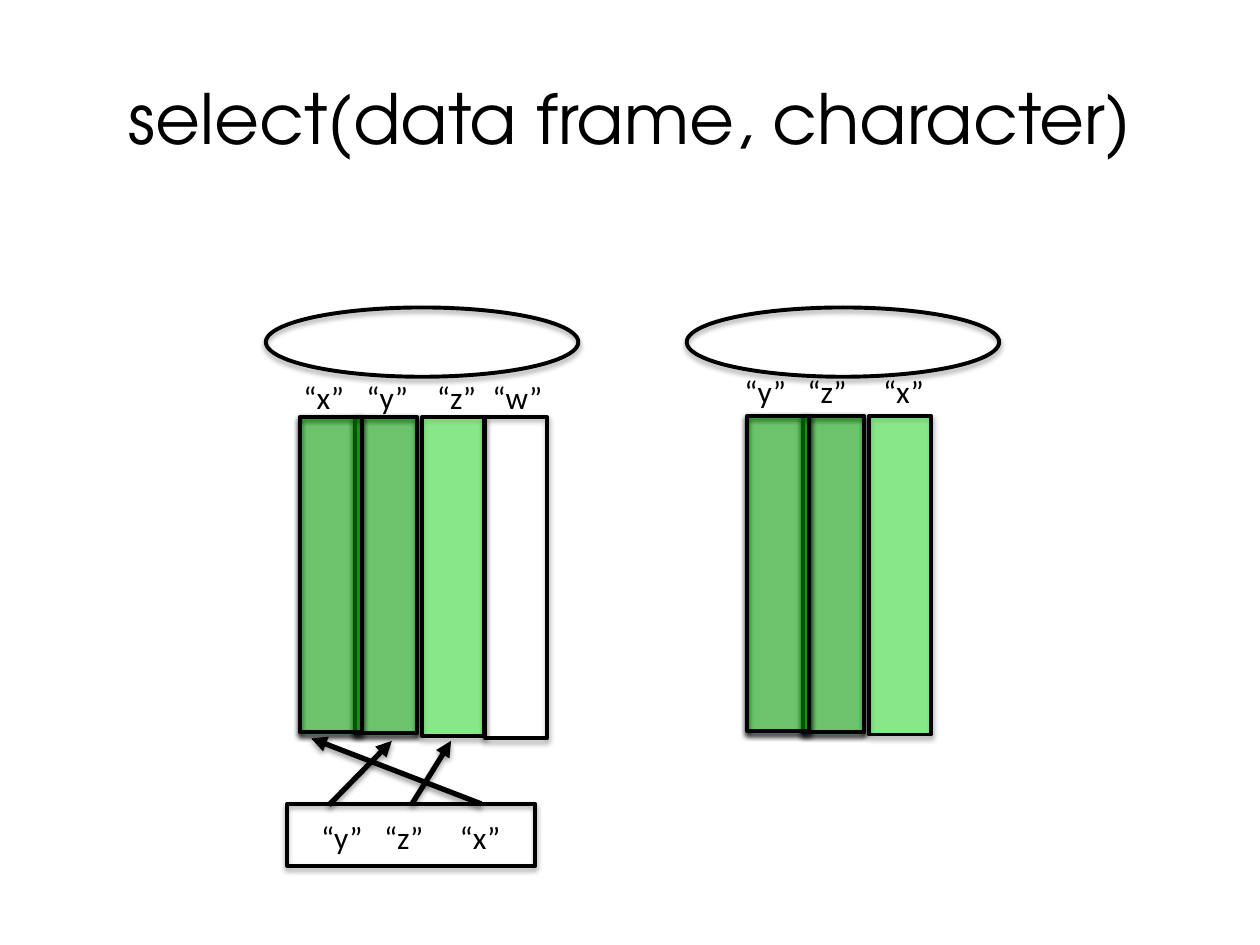
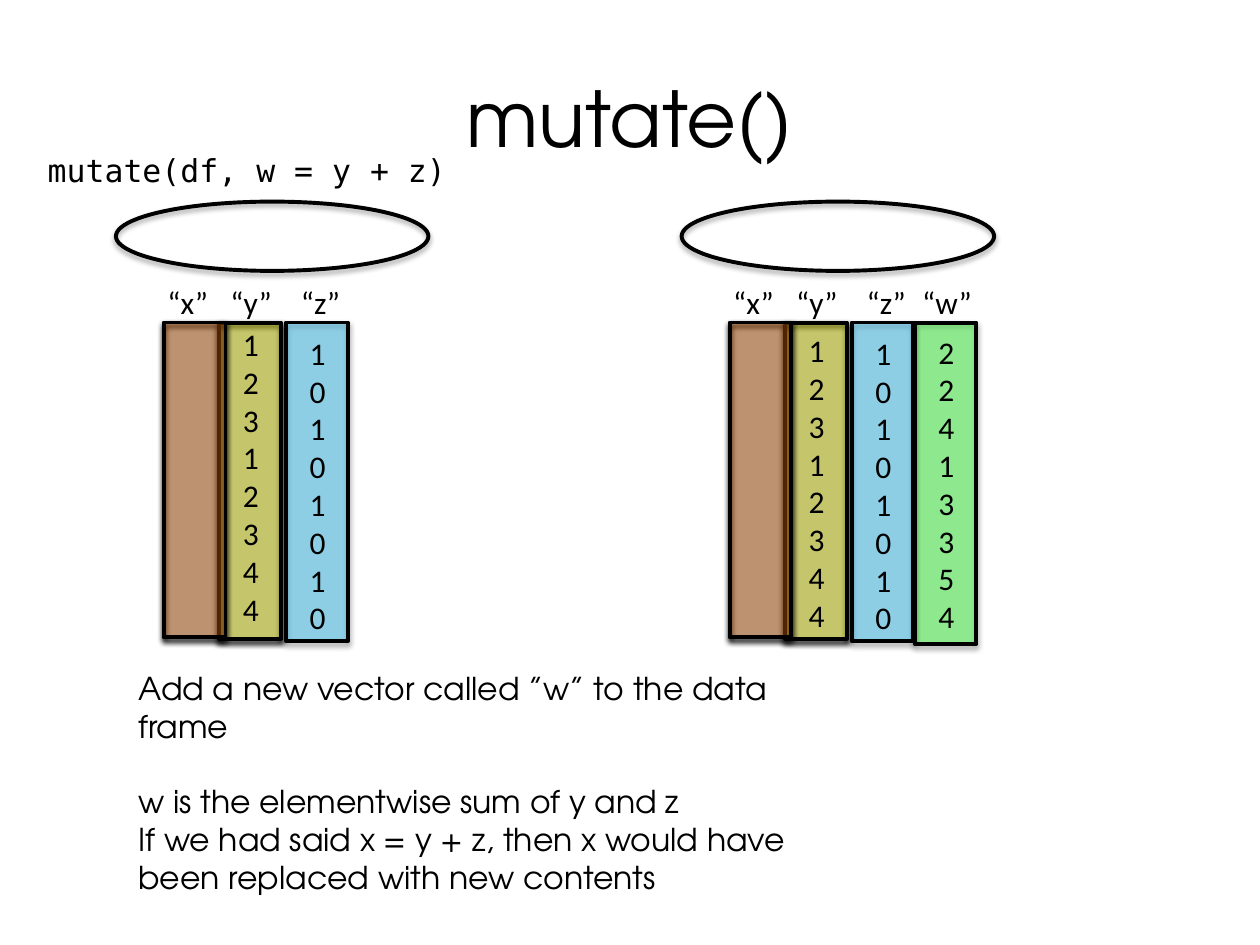
from pptx import Presentation
from pptx.dml.color import RGBColor
from pptx.enum.shapes import MSO_CONNECTOR, MSO_SHAPE
from pptx.enum.text import MSO_ANCHOR, PP_ALIGN
from pptx.oxml import parse_xml
from pptx.oxml.ns import nsdecls, qn
from pptx.util import Inches, Pt

HUES = {"ink": "000000", "green": "00FA00", "blue": "00B0F0",
        "gold": "FFFF00", "rust": "E46C0A"}
HEAD, BODY, CODE = "TeX Gyre Adventor", "Calibri", "DejaVu Sans Mono"
COLS, ROWS = 100, 75              # square grid cells over the slide
STEPS = (0, 4.4, 9.7, 14.7)       # left edges of the vectors in a frame
TALL = (25, 25.1, 25.3, 25.5)     # heights of the vectors
WIDE = 4.9
TABS = (5, 10.6, 15)              # tab stops under the vector names


def node(tag, inner="", **attrs):
    pairs = " ".join(f'{key}="{val}"' for key, val in attrs.items())
    return parse_xml(f'<a:{tag} {nsdecls("a")} {pairs}>{inner}</a:{tag}>')


def write(frame, text, size=18, font=BODY, align=PP_ALIGN.LEFT,
          anchor=MSO_ANCHOR.TOP, wrap=True, tabs=(), gaps=None):
    """Fill a text frame, one paragraph for each line of text."""
    frame.word_wrap, frame.vertical_anchor = wrap, anchor
    for num, line in enumerate(text.split("\n")):
        para = frame.paragraphs[0] if num == 0 else frame.add_paragraph()
        para.alignment = align
        para.space_before = Pt((gaps or {}).get(num, 0))
        run = para.add_run()
        run.text = line
        run.font.size, run.font.name = Pt(size), font
        run.font.color.rgb = RGBColor.from_string(HUES["ink"])
        if tabs:
            stops = "".join(f'<a:tab pos="{pos}" algn="l"/>' for pos in tabs)
            para._p.get_or_add_pPr().append(node("tabLst", stops))


class Deck:
    def __init__(self):
        self.prs = Presentation()
        self.prs.slide_width, self.prs.slide_height = Inches(10), Inches(7.5)
        self.slide = None

    def x(self, cols):
        return round(self.prs.slide_width * cols / COLS)

    def y(self, rows):
        return round(self.prs.slide_height * rows / ROWS)

    def box(self, left, top, wide, high):
        return self.x(left), self.y(top), self.x(wide), self.y(high)

    def page(self, title, size):
        self.slide = self.prs.slides.add_slide(self.prs.slide_layouts[6])
        self.text(title, 5, 3, 90, 12.5, size=size, font=HEAD,
                  align=PP_ALIGN.CENTER, anchor=MSO_ANCHOR.MIDDLE)

    def text(self, words, left, top, wide, high, **style):
        area = self.slide.shapes.add_textbox(*self.box(left, top, wide, high))
        write(area.text_frame, words, **style)

    def trim(self, item, width, alpha):
        """Black line and a soft shadow straight below."""
        item.line.color.rgb = RGBColor.from_string(HUES["ink"])
        item.line.width = Pt(width)
        soft = (f'<a:outerShdw blurRad="{Pt(3.1)}" dist="{Pt(1.8)}" '
                'dir="5400000" rotWithShape="0">'
                f'<a:srgbClr val="{HUES["ink"]}">'
                f'<a:alpha val="{alpha * 1000}"/></a:srgbClr></a:outerShdw>')
        item.element.spPr.append(node("effectLst", soft))

    def form(self, kind, left, top, wide, high, hue=None, alpha=35):
        item = self.slide.shapes.add_shape(
            kind, *self.box(left, top, wide, high))
        if hue:
            item.fill.solid()
            item.fill.fore_color.rgb = RGBColor.from_string(HUES[hue])
            tint = item.element.spPr.find(qn("a:solidFill"))[0]
            tint.append(node("alpha", val=alpha * 1000))
        else:
            item.fill.background()
        self.trim(item, 2.25, 35)

    def arrow(self, start, end):
        item = self.slide.shapes.add_connector(
            MSO_CONNECTOR.STRAIGHT, self.x(start[0]), self.y(start[1]),
            self.x(end[0]), self.y(end[1]))
        self.trim(item, 3, 38)
        item.element.spPr.find(qn("a:ln")).append(
            node("tailEnd", type="triangle"))

    def names(self, letters, left, top, tabs=TABS):
        words = "\t".join(f"“{one}”" for one in letters)
        self.text(words, left, top, 21.8, 4,
                  tabs=[self.x(stop) for stop in tabs])

    def frame(self, left, top, fills, oval):
        """An oval over a row of vectors; the first one lies on top."""
        self.form(MSO_SHAPE.OVAL, *oval, 24.8, 5.5)
        parts = list(zip(STEPS, TALL, fills))
        for step, high, (hue, alpha) in reversed(parts):
            self.form(MSO_SHAPE.RECTANGLE, left + step, top, WIDE, high,
                      hue, alpha)

    def digits(self, left, spot, top, values):
        self.text("\n".join(values), left + STEPS[spot] + 0.9, top, 3.3, 25.2,
                  wrap=False)


deck = Deck()

# Slide 1: pick columns by name
deck.page("select(data frame, character)", 39.6)
greens = [("green", 35), ("green", 35), ("green", 38)]
deck.frame(23.8, 33.1, greens + [(None, 0)], (21.1, 24.4))
for start, end in (((38.2, 63.8), (24.7, 58.6)),
                   ((26.1, 63.9), (31.1, 58.8)),
                   ((32.7, 63.8), (35.8, 58.8))):
    deck.arrow(start, end)
deck.form(MSO_SHAPE.RECTANGLE, 22.8, 63.8, 19.7, WIDE)
deck.frame(59.3, 33, greens, (54.5, 24.4))
picked = (5, 11)
deck.names("yzx", 24.5, 64.4, picked)
deck.names("yzx", 58.1, 29, picked)
deck.names("xyzw", 23.1, 29.5)

# Slide 2: add a column
deck.page("mutate()", 44)
base = [("rust", 35), ("gold", 35), ("blue", 36)]
deck.text("mutate(df, w = y + z)", 2.8, 11.5, 49.5, 4, font=CODE)
sides = ((13, base, "xyz", (25.3, 26)),
         (57.9, base + [("green", 36)], "xyzw", (25.8, 26, 25.9)))
for left, fills, letters, tops in sides:
    deck.frame(left, 25.6, fills, (left - 3.8, 16))
    deck.names(letters, left - 0.7, 22)
    columns = zip(tops, ("12312344", "10101010", "22413354"))
    for spot, (top, values) in enumerate(columns, 1):
        deck.digits(left, spot, top, values)
deck.text("Add a new vector called ”w” to the data frame\n"
          "w is the elementwise sum of y and z\n"
          "If we had said x = y + z, then x would have been replaced "
          "with new contents",
          10, 52.6, 59.1, 19.2, font=HEAD, gaps={1: 21.6})

deck.prs.save("out.pptx")
